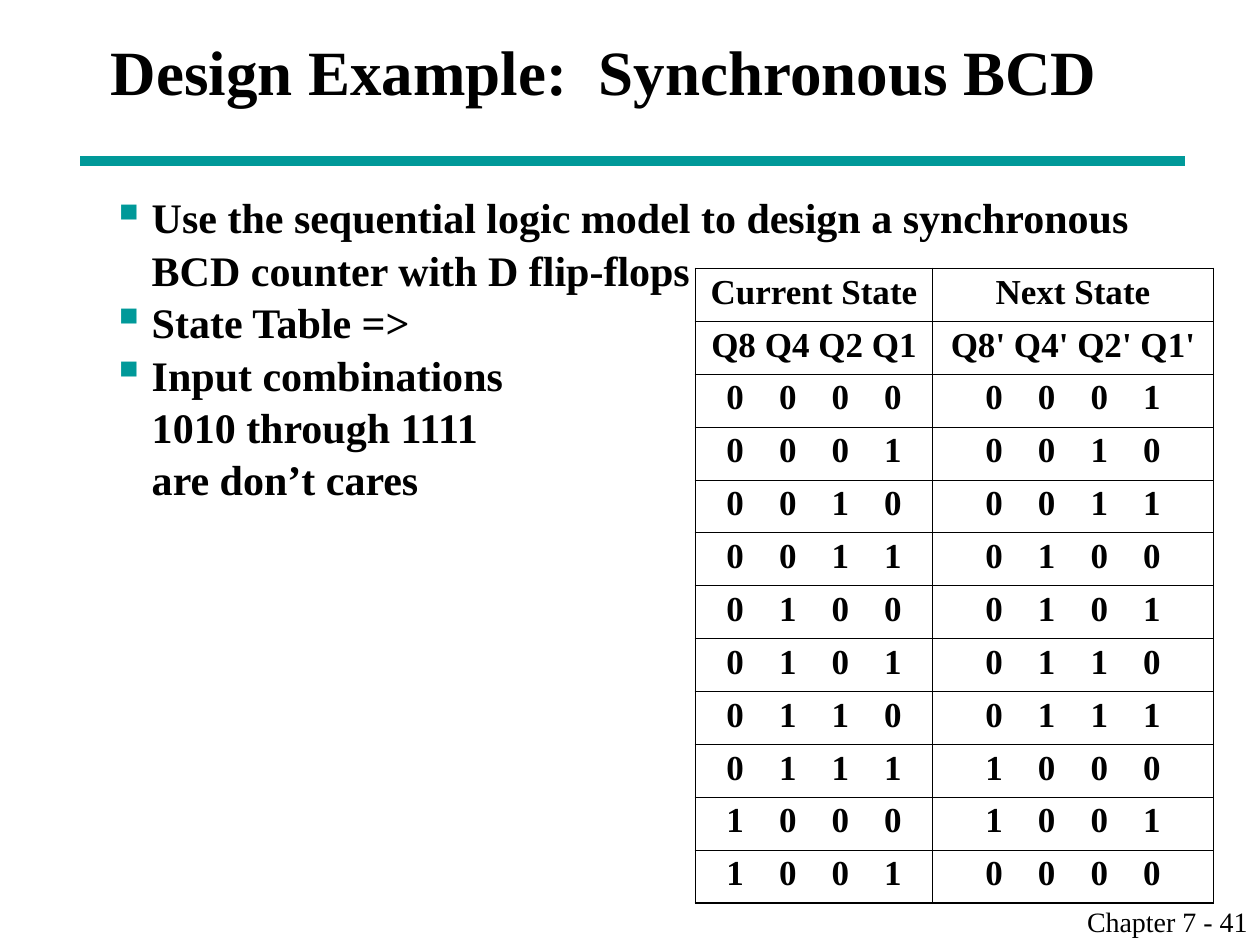
"""Build the slide on the synchronous BCD counter and its state table."""
from lxml.etree import SubElement
from pptx import Presentation
from pptx.dml.color import RGBColor
from pptx.enum.shapes import MSO_CONNECTOR as Connector
from pptx.enum.text import MSO_ANCHOR as Anchor, MSO_AUTO_SIZE as AutoSize, PP_ALIGN as Align
from pptx.oxml.ns import qn
from pptx.util import Cm, Pt

COLORS = {"ink": "000000", "teal": "009999"}


def style(paragraph, size, bold=True):
    font = paragraph.font
    font.name, font.size, font.bold = "Times New Roman", Pt(size), bold
    font.color.rgb = RGBColor.from_string(COLORS["ink"])


def add_border(cell, side, points):
    line = SubElement(cell._tc.get_or_add_tcPr(), qn(f"a:ln{side}"), w=str(Pt(points)))
    fill = SubElement(line, qn("a:solidFill"))
    SubElement(fill, qn("a:srgbClr"), val=COLORS["ink"])


deck = Presentation()
deck.slide_width, deck.slide_height = Cm(25.4), Cm(19.05)
slide = deck.slides.add_slide(deck.slide_layouts[5])

title = slide.shapes.title
title.left, title.top, title.width, title.height = Cm(1.98), Cm(0), Cm(21.6), Cm(2.85)
title.text_frame.text = "Design Example:  Synchronous BCD"
title.text_frame.auto_size = AutoSize.NONE
title.text_frame.vertical_anchor = Anchor.MIDDLE
title.text_frame.paragraphs[0].alignment = Align.LEFT
style(title.text_frame.paragraphs[0], 36)

rule = slide.shapes.add_connector(Connector.STRAIGHT, Cm(1.62), Cm(3.25), Cm(23.88), Cm(3.25))
rule.line.width = Pt(6)
rule.line.color.rgb = RGBColor.from_string(COLORS["teal"])
SubElement(rule._element.spPr, qn("a:effectLst"))

points = [
    "Use the sequential logic model to design a synchronous BCD counter with D flip-flops",
    "State Table =>",
    "Input combinations\v1010 through 1111\vare don’t cares",
]
body = slide.shapes.add_textbox(Cm(2), Cm(3.66), Cm(21.6), Cm(12.42)).text_frame
body.word_wrap = True
body.margin_top = Cm(0.17)
for index, point in enumerate(points):
    paragraph = body.paragraphs[0] if index == 0 else body.add_paragraph()
    paragraph.text = point
    paragraph.line_spacing = 1.04
    props = paragraph._p.get_or_add_pPr()
    props.set("marL", str(Cm(0.81)))
    props.set("indent", str(-Cm(0.81)))
    bullet_color = SubElement(props, qn("a:buClr"))
    SubElement(bullet_color, qn("a:srgbClr"), val=COLORS["teal"])
    SubElement(props, qn("a:buSzPct"), val="110000")
    SubElement(props, qn("a:buChar"), char="▪")
    style(paragraph, 24)

states = [("Current State", "Next State"), ("Q8 Q4 Q2 Q1", "Q8' Q4' Q2' Q1'")]
for count in range(10):
    states.append(tuple("".join(f"\t{bit}" for bit in f"{value:04b}")
                        for value in (count, (count + 1) % 10)))
widths = [4.78, 5.66]
margin, bit_step = 0.25, 1.06
last_row = len(states) - 1
state_table = slide.shapes.add_table(len(states), 2, Cm(14.02), Cm(5.41),
                                     Cm(sum(widths)), Cm(12.8)).table
state_table.first_row = state_table.horz_banding = False
for column, width in enumerate(widths):
    state_table.columns[column].width = Cm(width)
for row, texts in enumerate(states):
    state_table.rows[row].height = Cm(12.8 / len(states))
    for column, text in enumerate(texts):
        cell = state_table.cell(row, column)
        cell.margin_left = cell.margin_right = Cm(margin)
        cell.text = text
        outer = {"L": column == 0, "R": column == 1, "T": row == 0, "B": row == last_row}
        for side, is_outer in outer.items():
            add_border(cell, side, 1.08 if is_outer else 0.45)
        cell.fill.background()
        paragraph = cell.text_frame.paragraphs[0]
        paragraph.line_spacing = 0.95
        paragraph.alignment = Align.CENTER
        if "\t" in text:
            paragraph.alignment = Align.LEFT
            tabs = SubElement(paragraph._p.get_or_add_pPr(), qn("a:tabLst"))
            for bit in range(4):
                stop = widths[column] / 2 - margin + (bit - 1.5) * bit_step
                SubElement(tabs, qn("a:tab"), pos=str(Cm(stop)), algn="ctr")
        style(paragraph, 20)

footer = slide.shapes.add_textbox(Cm(19.25), Cm(18.11), Cm(6.15), Cm(0.94)).text_frame
footer.word_wrap = True
footer.text = "Chapter 7 - 41"
footer.paragraphs[0].alignment = Align.RIGHT
style(footer.paragraphs[0], 16, bold=False)

deck.save("out.pptx")
